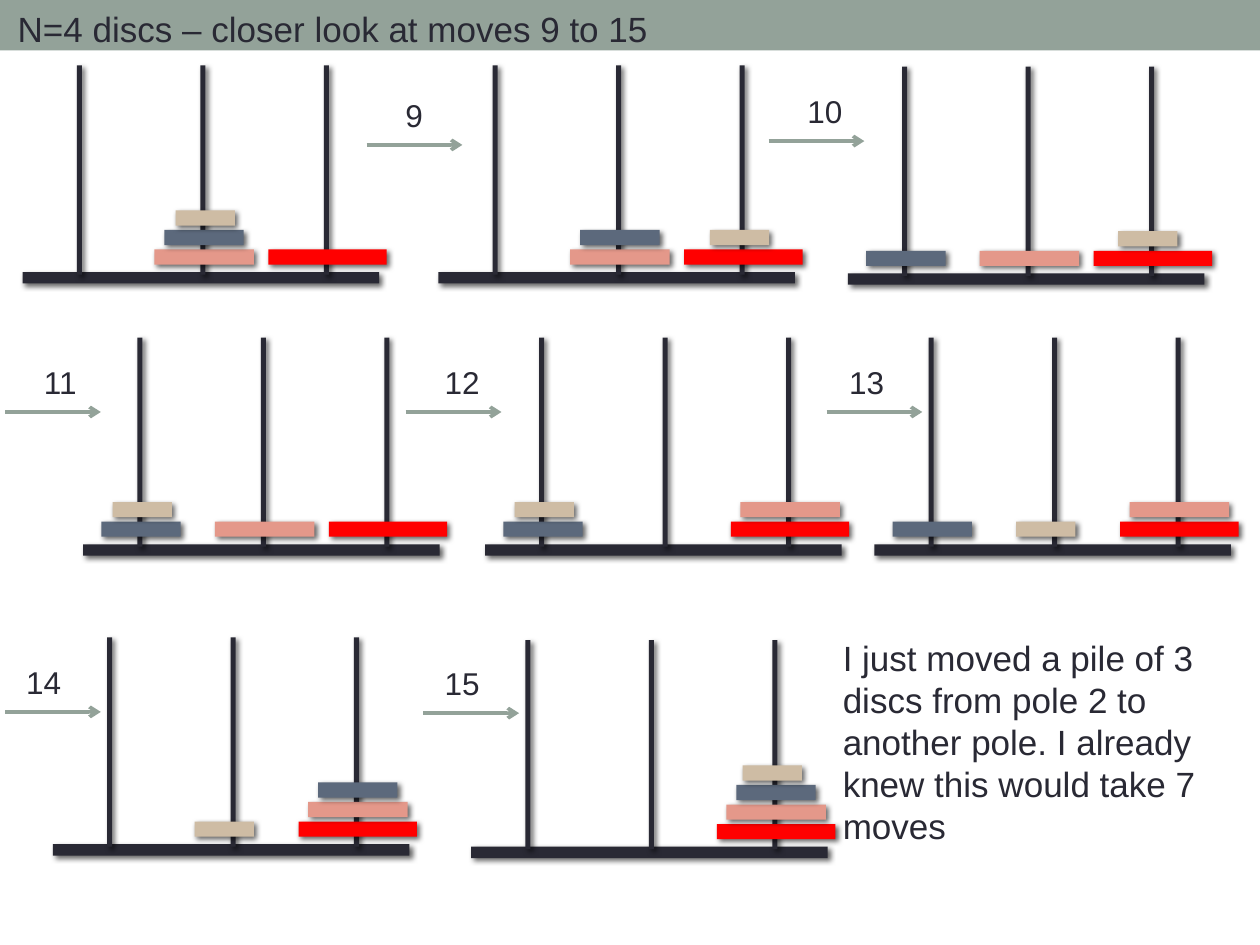
"""Build a slide that shows moves 9 to 15 of the four-disc Tower of Hanoi."""
from lxml import etree
from pptx import Presentation
from pptx.dml.color import RGBColor
from pptx.enum.shapes import MSO_CONNECTOR, MSO_SHAPE
from pptx.enum.text import MSO_ANCHOR, MSO_AUTO_SIZE, PP_ALIGN
from pptx.oxml.ns import qn
from pptx.util import Inches, Pt

RECTANGLE = MSO_SHAPE.RECTANGLE
STRAIGHT = MSO_CONNECTOR.STRAIGHT
TOP = MSO_ANCHOR.TOP
LEFT = PP_ALIGN.LEFT
GROW = MSO_AUTO_SIZE.SHAPE_TO_FIT_TEXT
INK, SAGE = "292934", "93A299"

deck = Presentation()
deck.slide_width, deck.slide_height = Inches(10), Inches(7.5)
UNIT = deck.slide_width // 10
page = deck.slides.add_slide(deck.slide_layouts[5])


def add_bar(shapes, left, top, width, height, color, shadow=True):
    """Add a plain rectangle, placed in grid units, with an optional soft shadow."""
    bar = shapes.add_shape(RECTANGLE, *(round(n * UNIT) for n in (left, top, width, height)))
    bar.fill.solid()
    bar.fill.fore_color.rgb = RGBColor.from_string(color)
    bar.line.fill.background()
    bar.shadow.inherit = False
    if shadow:
        effects = bar._element.spPr.find(qn("a:effectLst"))
        outer = etree.SubElement(effects, qn("a:outerShdw"), blurRad=str(Pt(3)),
                                 dist=str(Pt(2)), dir="2700000", rotWithShape="0")
        black = etree.SubElement(outer, qn("a:srgbClr"), val="000000")
        etree.SubElement(black, qn("a:alpha"), val="60000")
    return bar


def write(box, left, top, width, height, text, size):
    """Place a text shape in grid units and fill it with left-aligned text."""
    box.left, box.top, box.width, box.height = (round(n * UNIT) for n in (left, top, width, height))
    frame = box.text_frame
    frame.text = text
    frame.word_wrap = True
    frame.auto_size = GROW
    frame.vertical_anchor = TOP
    para = frame.paragraphs[0]
    para.alignment = LEFT
    span = para.runs[0]
    span.font.name = "Arial"
    span.font.size = Pt(size)
    span.font.color.rgb = RGBColor.from_string(INK)


band = add_bar(page.shapes, 0, 0, 10, 0.4, SAGE, shadow=False)
page.shapes.title._element.addprevious(band._element)
write(page.shapes.title, 0.04, 0.01, 5.77, 0.44, "N=4 discs – closer look at moves 9 to 15", 20)

BASE_WIDTH, FIRST_POLE, POLE_GAP = 2.83, 0.45, 0.98
DISC_HEIGHT, DISC_STEP = 0.12, 0.155
DISCS = [(0.94, "FF0000"), (0.79, "E4988A"), (0.63, "5C697C"), (0.47, "CEBCA4")]

# Each row: base left, base top, pole of each disc from largest to smallest, smallest disc's nudge
towers = [
    (0.18, 2.16, (2, 1, 1, 1), 0.02),
    (3.48, 2.16, (2, 1, 1, 2), -0.02),
    (6.73, 2.17, (2, 1, 0, 2), -0.03),
    (0.66, 4.32, (2, 1, 0, 0), 0.02),
    (3.85, 4.32, (2, 2, 0, 0), 0.02),
    (6.94, 4.32, (2, 2, 0, 1), -0.07),
    (0.42, 6.70, (2, 2, 2, 1), -0.07),
    (3.74, 6.72, (2, 2, 2, 2), -0.02),
]
for base_left, base_top, poles, nudge in towers:
    tower = page.shapes.add_group_shape().shapes
    add_bar(tower, base_left, base_top, BASE_WIDTH, 0.09, INK)
    centers = [base_left + FIRST_POLE + POLE_GAP * pole for pole in range(3)]
    for center in centers:
        add_bar(tower, center - 0.02, base_top - 1.64, 0.04, 1.66, INK)
    for index, (width, color) in enumerate(DISCS):
        level = poles[:index].count(poles[index])
        shift = nudge if index == 3 else 0.01
        add_bar(tower, centers[poles[index]] + shift - width / 2,
                base_top - 0.18 - DISC_STEP * level, width, DISC_HEIGHT, color)

moves = [
    (2.91, 1.15, 0.21), (6.10, 1.12, 0.21), (0.04, 3.27, 0.21), (3.22, 3.27, 0.21),
    (6.56, 3.27, 0.08), (0.04, 5.65, 0.07), (3.36, 5.66, 0.07),
]
for number, (left, top, indent) in enumerate(moves, start=9):
    step = page.shapes.add_group_shape().shapes
    arrow = step.add_connector(STRAIGHT, *(round(n * UNIT) for n in (left, top, left + 0.76, top)))
    arrow.line.width = Pt(2.08)
    arrow.line.color.rgb = RGBColor.from_string(SAGE)
    properties = arrow._element.spPr
    etree.SubElement(properties.find(qn("a:ln")), qn("a:tailEnd"), type="arrow")
    etree.SubElement(properties, qn("a:effectLst"))
    label_width = 0.3 if number < 10 else 0.54
    write(step.add_textbox(0, 0, UNIT, UNIT), left + indent, top - 0.44, label_width, 0.4,
          str(number), 18)

write(page.shapes.add_textbox(0, 0, UNIT, UNIT), 6.59, 5, 3.49, 1.78,
      "I just moved a pile of 3 discs from pole 2 to another pole. "
      "I already knew this would take 7 moves", 20)

deck.save("out.pptx")
